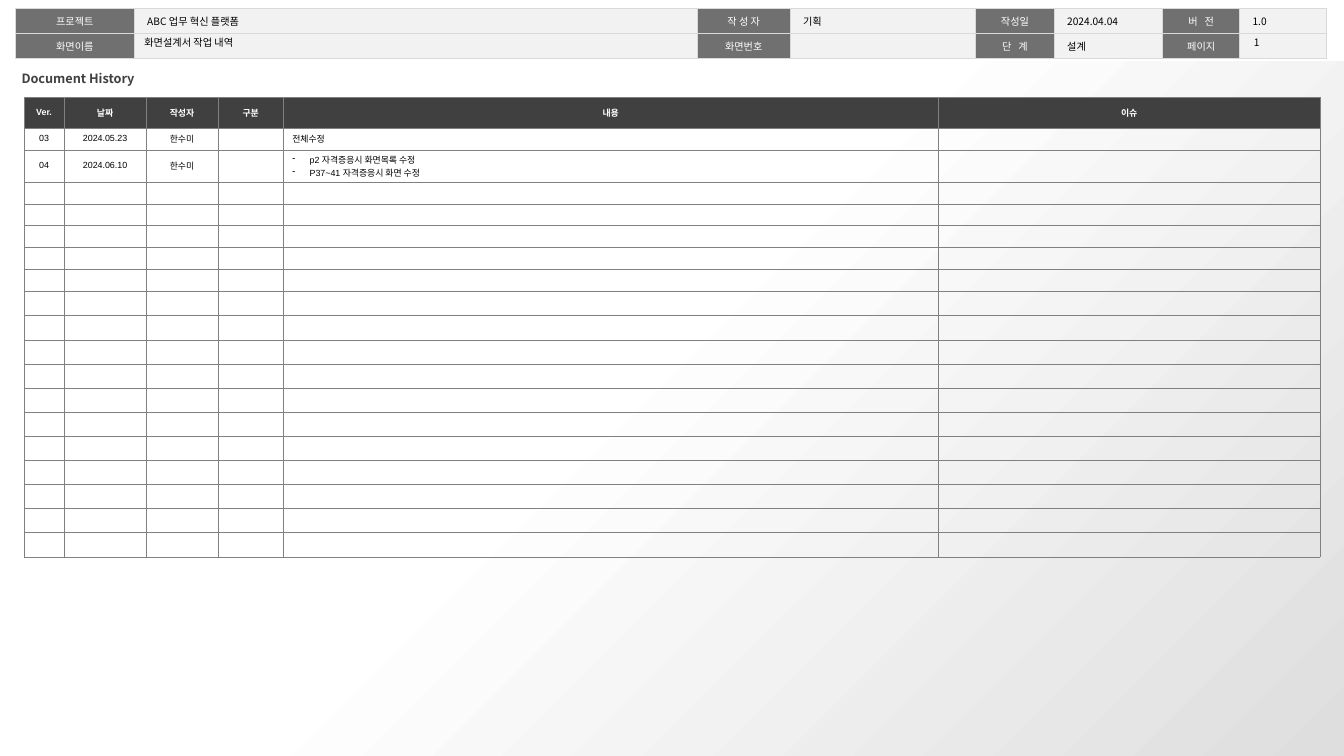
"""Build the document history slide of a screen design specification."""
from lxml.etree import SubElement
from pptx import Presentation
from pptx.dml.color import RGBColor
from pptx.enum.shapes import MSO_SHAPE
from pptx.enum.text import MSO_ANCHOR as Anchor, PP_ALIGN as Align
from pptx.oxml.ns import qn
from pptx.util import Cm, Pt

WHITE = RGBColor(0xFF, 0xFF, 0xFF)
BLACK = RGBColor(0x00, 0x00, 0x00)
DARK = RGBColor(0x40, 0x40, 0x40)
LABEL_FILL = RGBColor(0x70, 0x70, 0x70)
VALUE_FILL = RGBColor(0xF2, 0xF2, 0xF2)
INFO_BORDER = RGBColor(0xD9, 0xD9, 0xD9)
HISTORY_BORDER = RGBColor(0x80, 0x80, 0x80)
SHADE = RGBColor(0xDE, 0xDE, 0xDE)
KOREAN = "Noto Sans CJK KR"


def style_text(frame, font, size, color, bold=False, align=Align.LEFT):
    """Give every paragraph of a text frame the same look."""
    for paragraph in frame.paragraphs:
        paragraph.alignment = align
        paragraph.font.name = font
        paragraph.font.size = Pt(size)
        paragraph.font.bold = bold
        paragraph.font.color.rgb = color
        if not paragraph.text:
            SubElement(paragraph._p, qn("a:endParaRPr"), sz=str(size * 100))


def add_grid(left, top, widths, heights, border, line_width):
    """Add a plain table with even borders."""
    frame = slide.shapes.add_table(len(heights), len(widths), Cm(left), Cm(top),
                                   Cm(sum(widths)), Cm(sum(heights)))
    table = frame.table
    table.first_row = table.horz_banding = False
    for column, width in zip(table.columns, widths):
        column.width = Cm(width)
    for row, height in zip(table.rows, heights):
        row.height = Cm(height)
    for cell in table.iter_cells():
        properties = cell._tc.get_or_add_tcPr()
        for side in ("lnL", "lnR", "lnT", "lnB"):
            line = SubElement(properties, qn(f"a:{side}"), w=str(Pt(line_width)))
            fill = SubElement(line, qn("a:solidFill"))
            SubElement(fill, qn("a:srgbClr"), val=str(border))
    return table


presentation = Presentation()
presentation.slide_width = Cm(37.34)
presentation.slide_height = Cm(21.01)
slide = presentation.slides.add_slide(presentation.slide_layouts[6])

INFO = [
    ["프로젝트", "ABC 업무 혁신 플랫폼", "작 성 자", "기획", "작성일", "2024.04.04", "버   전", "1.0"],
    ["화면이름", "", "화면번호", "", "단   계", "설계", "페이지", ""],
]
info = add_grid(0.43, 0.24, [3.3, 15.65, 2.57, 5.16, 2.18, 3.02, 2.13, 2.42],
                [0.69, 0.69], INFO_BORDER, 1)
for row_index, texts in enumerate(INFO):
    for column_index, text in enumerate(texts):
        is_label = column_index % 2 == 0
        cell = info.cell(row_index, column_index)
        cell.fill.solid()
        cell.fill.fore_color.rgb = LABEL_FILL if is_label else VALUE_FILL
        cell.margin_left = cell.margin_right = Cm(0.36)
        cell.margin_top = cell.margin_bottom = Cm(0.13)
        cell.text = text
        cell.text_frame.paragraphs[0].line_spacing = 1.05
        style_text(cell.text_frame, KOREAN, 8, WHITE if is_label else BLACK,
                   align=Align.CENTER if is_label else Align.LEFT)

background = slide.shapes.add_shape(MSO_SHAPE.RECTANGLE, 0, Cm(1.7), Cm(37.34), Cm(19.31))
background.shadow.inherit = False
background.line.fill.background()
background.fill.gradient()
background.fill.gradient_angle = 315
for stop, position, color in zip(background.fill.gradient_stops, (0.45, 1), (WHITE, SHADE)):
    stop.position = position
    stop.color.rgb = color

for text, left, top, width, height, size, color, bold in [
    ("1", 34.59, 0.97, 1.83, 0.41, 8, BLACK, False),
    ("화면설계서 작업 내역", 3.76, 0.97, 13.77, 0.41, 8, BLACK, False),
    ("Document History", 0.35, 1.83, 3.8, 0.69, 10, DARK, True),
]:
    box = slide.shapes.add_textbox(Cm(left), Cm(top), Cm(width), Cm(height))
    frame = box.text_frame
    frame.word_wrap = True
    frame.vertical_anchor = Anchor.MIDDLE
    frame.text = text
    style_text(frame, KOREAN, size, color, bold)

HISTORY = [
    ["Ver.", "날짜", "작성자", "구분", "내용", "이슈"],
    ["03", "2024.05.23", "한수미", "", "전체수정", ""],
    ["04", "2024.06.10", "한수미", "", "p2 자격증응시 화면목록 수정\nP37~41 자격증응시 화면 수정", ""],
] + [[""] * 6] * 16
history = add_grid(0.67, 2.7, [1.11, 2.28, 2, 1.81, 18.2, 10.61],
                   [0.85, 0.61, 0.89] + [0.61] * 5 + [0.67] * 11, HISTORY_BORDER, 0.25)
for row_index, texts in enumerate(HISTORY):
    is_header = row_index == 0
    for column_index, text in enumerate(texts):
        cell = history.cell(row_index, column_index)
        if is_header:
            cell.fill.solid()
            cell.fill.fore_color.rgb = DARK
        else:
            cell.fill.background()
        cell.margin_top = cell.margin_bottom = Cm(0.1)
        cell.vertical_anchor = Anchor.MIDDLE
        cell.text = text
        paragraphs = cell.text_frame.paragraphs
        if len(paragraphs) > 1:
            for paragraph in paragraphs:
                properties = paragraph._p.get_or_add_pPr()
                properties.set("marL", str(Cm(0.48)))
                properties.set("indent", str(-Cm(0.48)))
                SubElement(properties, qn("a:buChar"), char="-")
        centered = is_header or column_index < 4
        style_text(cell.text_frame, "Arial", 7, WHITE if is_header else BLACK, is_header,
                   Align.CENTER if centered else Align.LEFT)

presentation.save("out.pptx")
